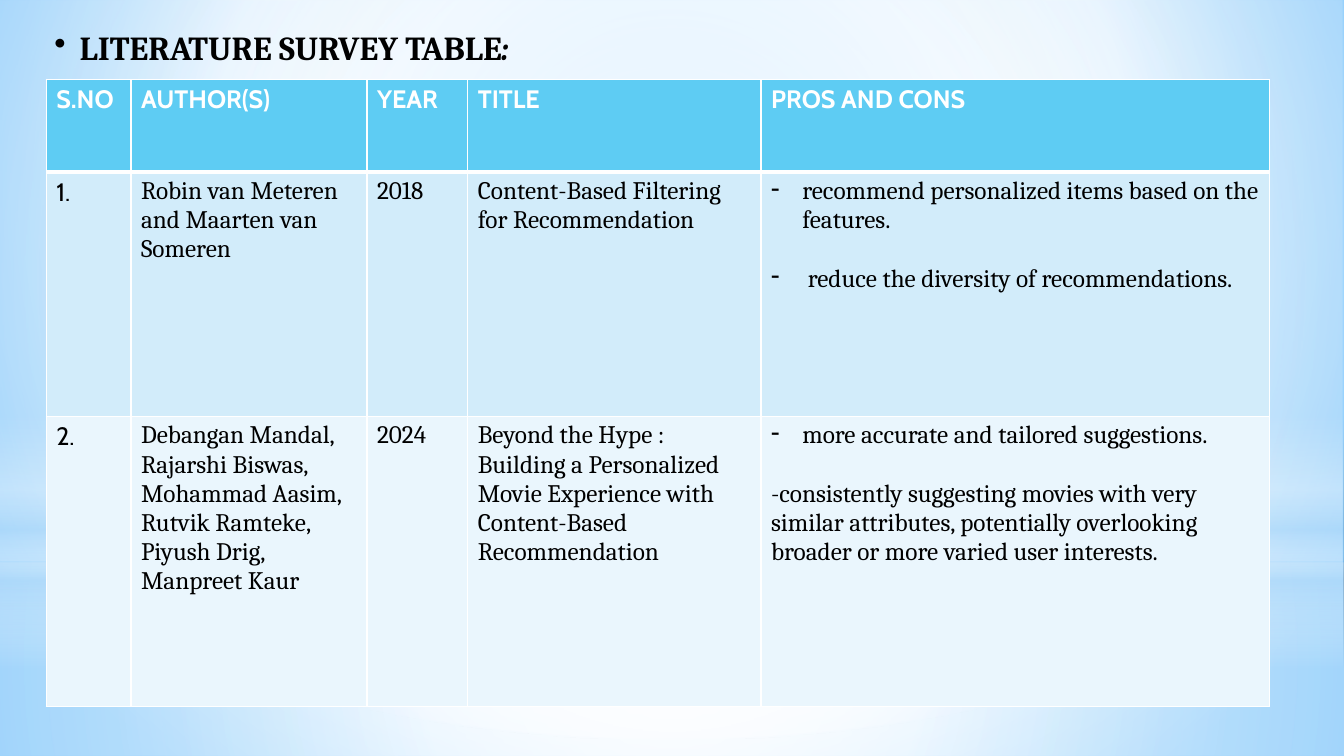
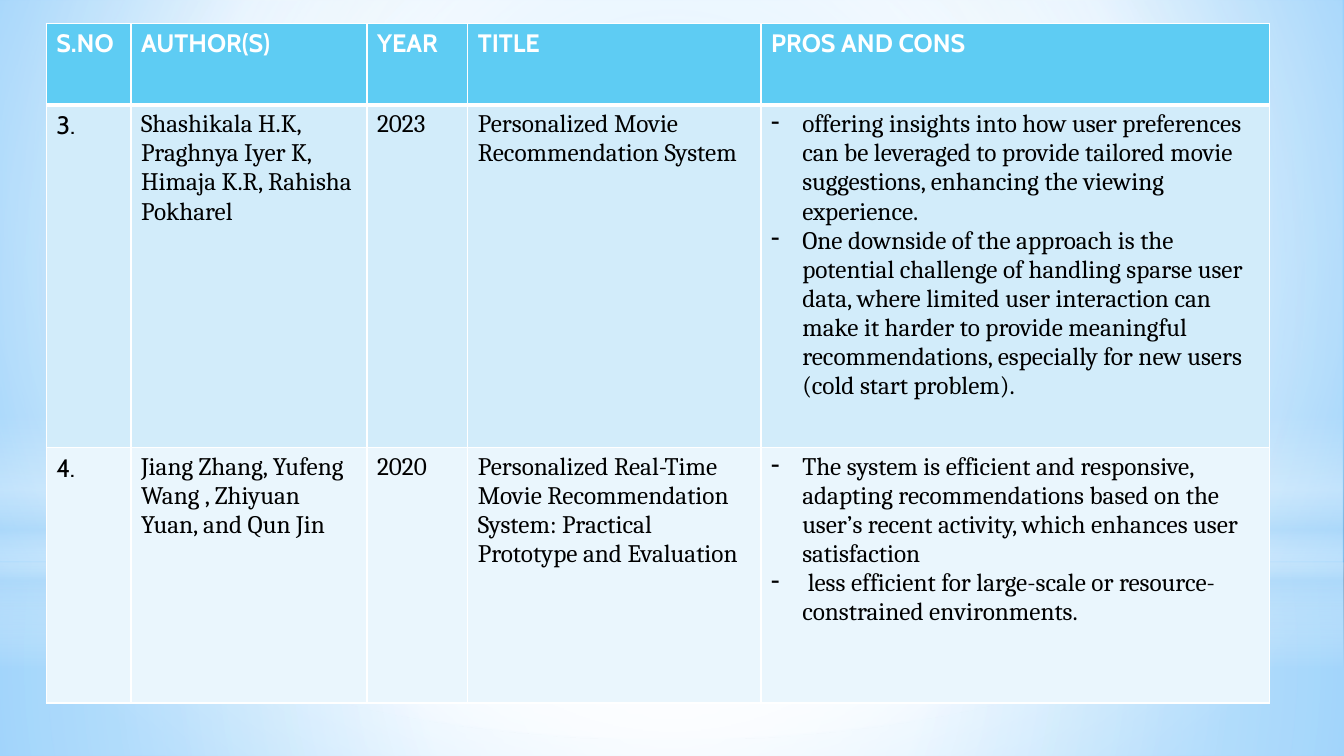
"""Build two literature survey slides with a shared backdrop and table style."""
from dataclasses import dataclass

from lxml import etree
from pptx import Presentation
from pptx.dml.color import RGBColor
from pptx.enum.shapes import MSO_SHAPE
from pptx.oxml.ns import qn
from pptx.util import Emu, Inches, Pt

RECT = MSO_SHAPE.RECTANGLE
OVAL = MSO_SHAPE.OVAL
UNIT = 76200
COLS, ROWS = 160, 90
CENTER = (50, 50, 50, 50)


@dataclass(frozen=True)
class Theme:
    ink: str = "000000"
    white: str = "FFFFFF"
    head: str = "5ECCF3"
    odd: str = "D2ECFA"
    even: str = "EAF6FD"
    haze: str = "B4DCFA"
    sky: str = "9ED5FF"
    deep: str = "5BB9FF"
    sans: str = "Cabin"
    serif: str = "Cambria"
    title: int = 24
    body: int = 18
    gap: int = 21
    thin: int = 1
    thick: int = 3


@dataclass(frozen=True)
class Point:
    text: str
    bullet: str = "-"
    before: int = 0


def node(parent, tag, **attrs):
    item = etree.SubElement(parent, qn(tag))
    for name, value in attrs.items():
        item.set(name, str(value))
    return item


def blend(parent, stops, focus=None):
    """Replace the solid fill in parent with a gradient of (place, colour, opacity) stops."""
    fill = etree.Element(qn("a:gradFill"), rotWithShape="1")
    chain = node(fill, "a:gsLst")
    for place, color, alpha in stops:
        stop = node(chain, "a:gs", pos=place * 1000)
        tint = node(stop, "a:srgbClr", val=color)
        if alpha < 100:
            node(tint, "a:alpha", val=alpha * 1000)
    if focus:
        sides = {side: share * 1000 for side, share in zip("ltrb", focus)}
        node(node(fill, "a:path", path="circle"), "a:fillToRect", **sides)
    else:
        node(fill, "a:lin", ang=5400000, scaled=0)
    parent.replace(parent.find(qn("a:solidFill")), fill)


def write(par, text, font, size, color, bold=False, italic=False,
          bullet=None, left=0, hang=0, before=0):
    """Add a run to a paragraph and set the format of both."""
    run = par.add_run()
    run.text = text
    run.font.name = font
    run.font.size = Pt(size)
    run.font.bold = bold
    run.font.italic = italic
    run.font.color.rgb = RGBColor.from_string(color)
    if before:
        par.space_before = Pt(before)
    if bullet:
        props = par._p.get_or_add_pPr()
        props.set("marL", str(Inches(left)))
        props.set("indent", str(-Inches(hang)))
        node(props, "a:buChar", char=bullet)


class Deck:
    """Hold the theme, the presentation and the current slide."""

    def __init__(self, theme):
        self.theme = theme
        self.prs = Presentation()
        self.prs.slide_width = Emu(COLS * UNIT)
        self.prs.slide_height = Emu(ROWS * UNIT)
        self.slide = None
        master = self.prs.slide_master
        master.background.fill.solid()
        master.background.fill.fore_color.rgb = RGBColor.from_string(theme.sky)
        stops = [(0, theme.sky, 100), (60, theme.white, 100), (100, theme.deep, 100)]
        blend(master.element.find(".//" + qn("p:bgPr")), stops, (20, 10, 20, 60))

    def grid(self, *units):
        return [Emu(round(unit * UNIT)) for unit in units]

    def page(self):
        self.slide = self.prs.slides.add_slide(self.prs.slide_layouts[6])
        white, haze = self.theme.white, self.theme.haze
        self.glow(RECT, 67, 23, [(0, white, 91), (37, white, 76), (100, haze, 79)], CENTER)
        self.glow(RECT, 0, 67, [(0, white, 89), (48, white, 62), (100, haze, 79)], CENTER)
        self.glow(RECT, 49.5, 30, [(0, white, 0), (29, white, 30), (45, haze, 40),
                                   (55, white, 26), (65, haze, 60), (100, white, 0)])
        self.glow(OVAL, 21, 67, [(0, white, 100), (56, white, 0)], CENTER)

    def glow(self, kind, top, height, stops, focus=None):
        shape = self.slide.shapes.add_shape(kind, *self.grid(0, top, COLS, height))
        shape.shadow.inherit = False
        shape.line.fill.background()
        shape.fill.solid()
        blend(shape.element.spPr, stops, focus)

    def title(self, text, tail):
        box = self.slide.shapes.add_textbox(*self.grid(2.3, 1.7, 137.5, 18.8))
        box.text_frame.word_wrap = True
        par = box.text_frame.paragraphs[0]
        par.line_spacing = 1.2
        par.space_after = Pt(6)
        look = dict(font=self.theme.serif, size=self.theme.title,
                    color=self.theme.ink, bold=True)
        write(par, text, bullet="•", left=0.5, hang=0.25, **look)
        write(par, tail, italic=True, **look)

    def edge(self, cell, row):
        props = cell._tc.get_or_add_tcPr()
        for spot, side in enumerate("LRTB"):
            heavy = (row, side) in ((0, "B"), (1, "T"))
            width = self.theme.thick if heavy else self.theme.thin
            line = node(props, "a:ln" + side, w=Pt(width))
            node(node(line, "a:solidFill"), "a:srgbClr", val=self.theme.white)
            props.insert(spot, line)

    def cell(self, cell, content, row, col):
        theme = self.theme
        head = row == 0
        cell.fill.solid()
        shade = (theme.head, theme.odd, theme.even)[row]
        cell.fill.fore_color.rgb = RGBColor.from_string(shade)
        self.edge(cell, row)
        look = dict(font=theme.sans if head or col == 0 else theme.serif,
                    size=theme.body, bold=head,
                    color=theme.white if head else theme.ink)
        points = [Point(content, None)] if isinstance(content, str) else content
        for spot, point in enumerate(points):
            frame = cell.text_frame
            par = frame.add_paragraph() if spot else frame.paragraphs[0]
            write(par, point.text, bullet=point.bullet, left=0.31, hang=0.31,
                  before=point.before, **look)

    def table(self, top, widths, heights, rows):
        area = self.grid(5.5, top, sum(widths), sum(heights))
        table = self.slide.shapes.add_table(len(rows), len(widths), *area).table
        table.first_row = False
        table.horz_banding = False
        for column, width in zip(table.columns, self.grid(*widths)):
            column.width = width
        for line, height in zip(table.rows, self.grid(*heights)):
            line.height = height
        for row, record in enumerate(rows):
            for col, content in enumerate(record):
                self.cell(table.cell(row, col), content, row, col)


THEME = Theme()
WIDTHS = (10.1, 28.1, 12, 34.9, 60.5)
HEAD = ("S.NO", "AUTHOR(S)", "YEAR", "TITLE", "PROS AND CONS")
EARLY = [
    ("1.", "Robin van Meteren and Maarten van Someren", "2018",
     "Content-Based Filtering for Recommendation",
     [Point("recommend personalized items based on the features."),
      Point(" reduce the diversity of recommendations.", before=THEME.gap)]),
    ("2.", "Debangan Mandal, Rajarshi Biswas, Mohammad Aasim, Rutvik Ramteke, "
     "Piyush Drig, Manpreet Kaur", "2024",
     "Beyond the Hype : Building a Personalized Movie Experience with "
     "Content-Based Recommendation",
     [Point("more accurate and tailored suggestions."),
      Point("-consistently suggesting movies with very similar attributes, potentially "
            "overlooking broader or more varied user interests.", None, THEME.gap)]),
]
LATER = [
    ("3.", "Shashikala H.K, Praghnya Iyer K, Himaja K.R, Rahisha Pokharel", "2023",
     "Personalized Movie Recommendation System",
     [Point("offering insights into how user preferences can be leveraged to provide "
            "tailored movie suggestions, enhancing the viewing experience."),
      Point("One downside of the approach is the potential challenge of handling sparse "
            "user data, where limited user interaction can make it harder to provide "
            "meaningful recommendations, especially for new users (cold start problem).")]),
    ("4.", "Jiang Zhang, Yufeng Wang , Zhiyuan Yuan, and Qun Jin", "2020",
     "Personalized Real-Time Movie Recommendation System: Practical Prototype and Evaluation",
     [Point("The system is efficient and responsive, adapting recommendations based on "
            "the user’s recent activity, which enhances user satisfaction"),
      Point(" less efficient for large-scale or resource-constrained environments.")]),
]


def main():
    deck = Deck(THEME)
    deck.page()
    deck.title("LITERATURE SURVEY TABLE", ":")
    deck.table(9.45, WIDTHS, (11, 29.1, 34.6), [HEAD, *EARLY])
    deck.page()
    deck.table(2.8, WIDTHS, (9.7, 40.8, 30.4), [HEAD, *LATER])
    deck.prs.save("out.pptx")


if __name__ == "__main__":
    main()
